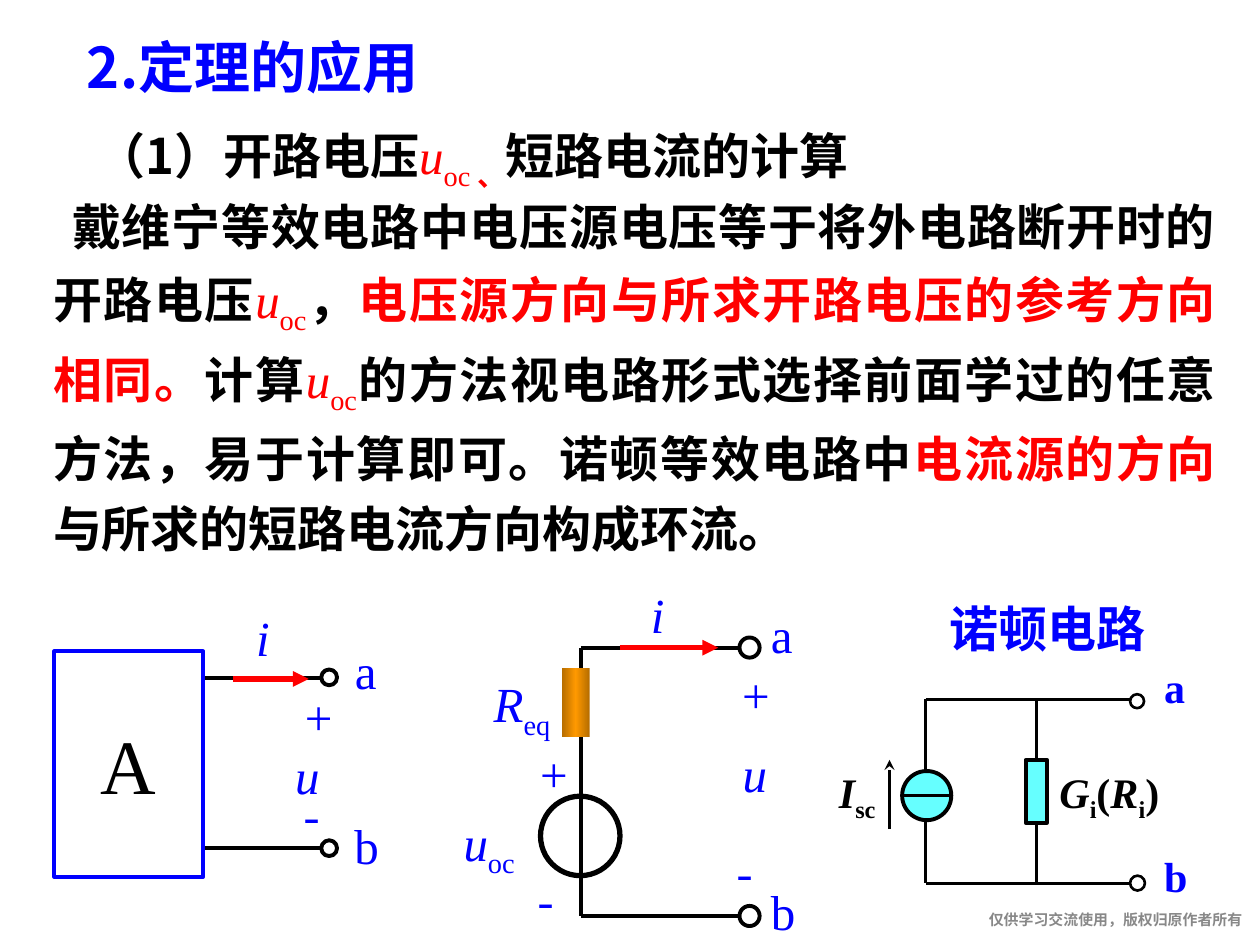
"""Build the slide on using Thevenin's and Norton's theorems."""
from copy import deepcopy

from lxml.etree import SubElement
from pptx import Presentation
from pptx.dml.color import RGBColor
from pptx.enum.shapes import MSO_CONNECTOR, MSO_SHAPE
from pptx.enum.text import MSO_ANCHOR, MSO_AUTO_SIZE, PP_ALIGN
from pptx.oxml.ns import qn
from pptx.util import Pt

BLUE = RGBColor(0, 0, 255)
RED = RGBColor(255, 0, 0)
BLACK = RGBColor(0, 0, 0)
WHITE = RGBColor(255, 255, 255)
GREY = RGBColor(0x88, 0x88, 0x88)
CYAN = RGBColor(0x66, 0xFF, 0xFF)
BROWN = RGBColor(0xB6, 0x6D, 0)
AMBER = RGBColor(0xFF, 0x99, 0)
LEFT, MID, RIGHT, FULL = PP_ALIGN.LEFT, PP_ALIGN.CENTER, PP_ALIGN.RIGHT, PP_ALIGN.JUSTIFY
TOP, CENTRE = MSO_ANCHOR.TOP, MSO_ANCHOR.MIDDLE
GROW = MSO_AUTO_SIZE.SHAPE_TO_FIT_TEXT
RECT, OVAL = MSO_SHAPE.RECTANGLE, MSO_SHAPE.OVAL
LINE = MSO_CONNECTOR.STRAIGHT
SANS, SERIF = "Noto Sans CJK SC", "Times New Roman"

HEAD = dict(name=SANS, size=Pt(28), bold=True, italic=False, color=BLACK)
TITLE = HEAD | dict(size=Pt(32), color=BLUE)
SIGN = dict(name=SERIF, size=Pt(28), bold=False, italic=False, color=BLUE)
DASH = SIGN | dict(name=SANS)
VAR = SIGN | dict(italic=True)
SUB = SIGN | dict(base=-25000)
BOLD = SIGN | dict(size=Pt(24), bold=True)
DARK = BOLD | dict(color=BLACK)
DVAR = DARK | dict(italic=True)
DSUB = DARK | dict(base=-25000)
HOT = HEAD | dict(color=RED)
RVAR = VAR | dict(color=RED)
RSUB = SUB | dict(color=RED)


def write(shape, runs, align=LEFT, anchor=TOP):
    frame = shape.text_frame
    frame.word_wrap = True
    frame.vertical_anchor = anchor
    para = frame.paragraphs[0]
    para.alignment = align
    para.space_before = Pt(0)
    for text, style in runs:
        run = para.add_run()
        run.text = text
        props = run._r.get_or_add_rPr()
        for key, value in style.items():
            if key == "color":
                run.font.color.rgb = value
            elif key == "base":
                props.set("baseline", str(value))
            else:
                setattr(run.font, key, value)
        SubElement(props, qn("a:ea"), typeface=SANS)
    return para


def draw(kind, x, y, w, h, width, fill=None, line=BLACK):
    shape = shapes.add_shape(kind, Pt(x), Pt(y), Pt(w), Pt(h))
    shape.shadow.inherit = False
    if fill is None:
        shape.fill.background()
    else:
        shape.fill.solid()
        shape.fill.fore_color.rgb = fill
    if width:
        shape.line.color.rgb = line
        shape.line.width = Pt(width)
    else:
        shape.line.fill.background()
    return shape


deck = Presentation()
deck.slide_width, deck.slide_height = Pt(720), Pt(540)
slide = deck.slides.add_slide(deck.slide_layouts[1])
shapes = slide.shapes
title, body = slide.placeholders

lead = shapes.add_textbox(0, 0, 0, 0)
for box, x, y, w, h in [
    (title, 42.5, 15.1, 249, 45.4),
    (lead, 48.2, 60.5, 519, 47.5),
    (body, -14.4, 102.2, 716.4, 211),
]:
    box.left, box.top, box.width, box.height = Pt(x), Pt(y), Pt(w), Pt(h)
    box.text_frame.auto_size = GROW

write(title, [("2.定理的应用", TITLE)])
first = write(lead, [
    ("（1）开路电压", HEAD), ("u", RVAR), ("oc ", RSUB),
    ("、", HOT | dict(base=-25000)), ("短路电流的计算", HEAD),
], FULL)
first.line_spacing = 1.2

para = body.text_frame.paragraphs[0]
props = para._p.get_or_add_pPr()
props.set("marL", str(Pt(37.5)))
props.set("indent", str(Pt(11)))
SubElement(props, qn("a:buNone"))
write(body, [
    ("戴维宁等效电路中电压源电压等于将外电路断开时的开路电压", HEAD),
    ("u", RVAR), ("oc", RSUB), ("，", HEAD),
    ("电压源方向与所求开路电压的参考方向相同。", HOT),
    ("计算", HEAD), ("u", RVAR), ("oc", RSUB),
    ("的方法视电路形式选择前面学过的任意方法，易于计算即可。诺顿等效电路中", HEAD),
    ("电流源的方向", HOT), ("与所求的短路电流方向构成环流。", HEAD),
], FULL)
para.line_spacing = 1.2

load = draw(RECT, 586.1, 434.2, 12.2, 36, 2.25, CYAN)
draw(OVAL, 515.5, 440.6, 28.1, 28.1, 2.25, CYAN)

wires = [
    (115.9, 387.4, 184, 387.4, 2.25, BLACK, None),
    (115.9, 484.6, 184, 484.6, 2.25, BLACK, None),
    (133.2, 388, 176.4, 388, 3, RED, "triangle"),
    (331.9, 370.1, 422.6, 370.1, 2.25, BLACK, None),
    (331.9, 523.4, 422.6, 523.4, 2.25, BLACK, None),
    (331.9, 370.1, 331.9, 523.4, 2.25, BLACK, None),
    (354.2, 370.1, 410.4, 370.1, 3, RED, "triangle"),
    (529, 504.7, 645.8, 504.7, 1.5, BLACK, None),
    (529, 399.6, 646, 399.6, 1.5, BLACK, None),
    (529, 399.6, 529, 440.6, 1.5, BLACK, None),
    (529, 468.7, 529, 504.7, 1.5, BLACK, None),
    (515.5, 454.6, 543.6, 454.6, 1.5, BLACK, None),
    (508.3, 473.8, 508.3, 434.2, 1.5, BLACK, "stealth"),
    (592.2, 399.6, 592.2, 434.2, 1.5, BLACK, None),
    (592.2, 504.7, 592.2, 470.2, 1.5, BLACK, None),
]
made = []
for x, y, right, low, width, color, tip in wires:
    wire = shapes.add_connector(LINE, Pt(x), Pt(y), Pt(right), Pt(low))
    wire.line.color.rgb = color
    wire.line.width = Pt(width)
    if tip:
        SubElement(wire.line._get_or_add_ln(), qn("a:tailEnd"), type=tip)
    SubElement(wire._element.spPr, qn("a:effectLst"))
    made.append(wire)
made[-2].end_connect(load, 0)
made[-1].end_connect(load, 2)

block = draw(RECT, 31, 372.2, 85, 128.9, 2.25, WHITE, BLUE)
write(block, [("A", SIGN | dict(size=Pt(44), color=BLACK))], MID, CENTRE)
draw(OVAL, 308.9, 455, 45.4, 45.4, 3)

for x, y, size, width in [
    (183.6, 382.6, 9, 2.25), (183.6, 480.2, 9, 2.25),
    (422.6, 364.3, 11.5, 2.25), (422.6, 517.7, 11.5, 2.25),
    (645.8, 396.7, 8, 1.5), (645.8, 500.4, 8.5, 1.5),
]:
    draw(OVAL, x, y, size, size, width)

coil = draw(RECT, 321.1, 381.6, 15.8, 39.6, 0)
coil.fill.gradient()
coil.fill.gradient_angle = 0
stops = coil._element.spPr.find(".//" + qn("a:gsLst"))
stops.insert(1, deepcopy(stops[0]))
for stop, place, color in zip(coil.fill.gradient_stops, (0, 0.5, 1), (BROWN, AMBER, BROWN)):
    stop.position = place
    stop.color.rgb = color

labels = [
    (195.8, 362.2, 26.6, MID, [("a", SIGN)]),
    (195.1, 462.2, 28.8, MID, [("b", SIGN)]),
    (139, 343.4, 22.3, MID, [("i", VAR)]),
    (161.3, 422.6, 28.8, MID, [("u", VAR)]),
    (167, 388.8, 30.2, MID, [("+", SIGN)]),
    (161.3, 445.7, 33.8, MID, [("-", DASH)]),
    (360, 330.5, 31.7, MID, [("i", VAR)]),
    (433.4, 342, 56.2, LEFT, [("a", SIGN)]),
    (433.4, 500.4, 40.3, LEFT, [("b", SIGN)]),
    (275, 381.6, 56.2, LEFT, [("R", VAR), ("eq", SUB)]),
    (257.8, 460.8, 72, LEFT, [("u", VAR), ("oc", SUB)]),
    (297.4, 421.2, 38.2, MID, [("+", SIGN)]),
    (297.4, 494.6, 28.8, MID, [("-", DASH)]),
    (416.9, 421.2, 28.8, MID, [("u", VAR)]),
    (416.9, 375.8, 30.2, MID, [("+", SIGN)]),
    (411.1, 478.1, 28.8, MID, [("-", DASH)]),
    (658.1, 374.4, 41.8, LEFT, [("a", BOLD)]),
    (658.1, 482.4, 30.2, LEFT, [("b", BOLD)]),
    (598.3, 434.2, 90, LEFT, [("G", DVAR), ("i", DSUB), ("(", DARK),
                              ("R", DVAR), ("i", DSUB), (")", DARK)]),
    (472.3, 434.2, 54, LEFT, [("I", DVAR), ("sc", DSUB)]),
    (535.7, 338.4, 128, LEFT, [("诺顿电路", TITLE | dict(size=Pt(28)))]),
]
for x, y, w, align, runs in labels:
    high = 36 if runs[0][1]["size"] == Pt(24) else 41
    box = shapes.add_textbox(Pt(x), Pt(y), Pt(w), Pt(high))
    write(box, runs, align, CENTRE if align == MID else TOP)

note = shapes.add_textbox(Pt(436.3), Pt(520.6), Pt(273.6), Pt(15.8))
for side in ("left", "right", "top", "bottom"):
    setattr(note.text_frame, "margin_" + side, 0)
tiny = dict(name="Arial", size=Pt(8.5), bold=True, color=GREY)
write(note, [("仅供学习交流使用，版权归原作者所有", tiny)], RIGHT)

deck.save("out.pptx")
